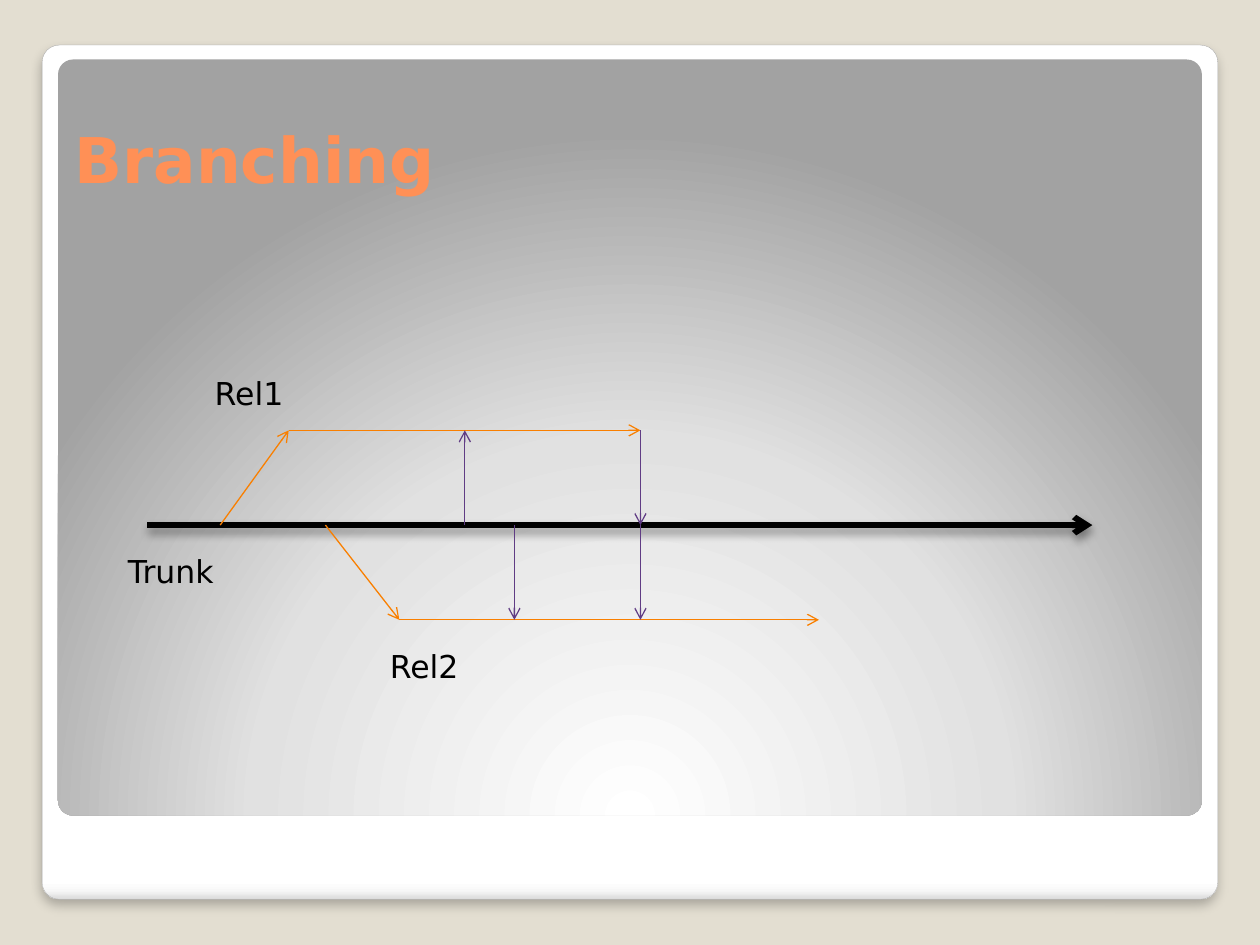
from collections import namedtuple
from lxml.etree import SubElement
from pptx import Presentation
from pptx.dml.color import RGBColor
from pptx.enum.shapes import MSO_CONNECTOR, MSO_SHAPE
from pptx.enum.text import MSO_ANCHOR, MSO_AUTO_SIZE, PP_ALIGN
from pptx.oxml.ns import qn
from pptx.util import Cm, Pt

COLORS = {
    "background": "E3DED1",
    "frame_line": "A4A4A4",
    "title": "FF9056",
    "trunk": "000000",
    "release": "F97F00",
    "merge": "603C84",
    "text": "000000",
}
FONT = "DejaVu Sans"
Box = namedtuple("Box", "left top width height")


def color(name):
    return RGBColor.from_string(COLORS[name])


def add_effects(shape, shadow=None):
    effects = SubElement(shape.element.spPr, qn("a:effectLst"))
    if shadow:
        alpha, blur, distance = shadow
        outer = SubElement(effects, qn("a:outerShdw"), blurRad=str(Pt(blur)),
                           dist=str(Pt(distance)), dir="5400000", rotWithShape="0")
        tone = SubElement(outer, qn("a:srgbClr"), val="000000")
        SubElement(tone, qn("a:alpha"), val=str(alpha * 1000))


def set_gradient(shape, stops, center=None):
    shape.fill.gradient()
    gradient = shape.element.spPr.find(qn("a:gradFill"))
    for child in list(gradient):
        gradient.remove(child)
    stop_list = SubElement(gradient, qn("a:gsLst"))
    for position, value in stops:
        stop = SubElement(stop_list, qn("a:gs"), pos=str(position * 1000))
        SubElement(stop, qn("a:srgbClr"), val=value)
    if center:
        shade = SubElement(gradient, qn("a:path"), path="circle")
        edges = {side: str(value * 1000) for side, value in zip("ltrb", center)}
        SubElement(shade, qn("a:fillToRect"), **edges)
    else:
        SubElement(gradient, qn("a:lin"), ang="5400000", scaled="0")


def add_panel(page, left, top, width, height):
    panel = page.shapes.add_shape(MSO_SHAPE.ROUNDED_RECTANGLE,
                                  Cm(left), Cm(top), Cm(width), Cm(height))
    panel.adjustments[0] = 0.02
    return panel


def build_backdrop(page, box):
    frame = add_panel(page, *box)
    set_gradient(frame, [(0, "FFFFFF"), (98, "FFFFFF"), (99, "F7F7F7"), (100, "DADADA")])
    frame.line.color.rgb = color("frame_line")
    frame.line.width = Pt(0.16)
    add_effects(frame, (25, 6, 4))

    inset = 0.32
    panel = add_panel(page, box.left + inset, box.top + 0.29,
                      box.width - 2 * inset, 15.24)
    set_gradient(panel, [(0, "FFFFFF"), (55, "E1E1E1"), (100, "A2A2A2")],
                 (50, 175, 50, -75))
    panel.line.fill.background()
    add_effects(panel)


def write(frame, text, size, tone, bold=False):
    para = frame.paragraphs[0]
    para.alignment = PP_ALIGN.LEFT
    span = para.add_run()
    span.text = text
    span.font.name = FONT
    span.font.size = Pt(size)
    span.font.bold = bold
    span.font.color.rgb = color(tone)


def build_title(page, box, text):
    title = page.shapes.title
    title.left, title.top, title.width, title.height = (Cm(value) for value in box)
    title.text_frame.vertical_anchor = MSO_ANCHOR.MIDDLE
    write(title.text_frame, text, 36, "title", bold=True)
    title.element.getparent().append(title.element)


def add_arrow(page, start, end, tone, width=0.75, shadow=None):
    arrow = page.shapes.add_connector(MSO_CONNECTOR.STRAIGHT,
                                      *(Cm(value) for value in (*start, *end)))
    arrow.line.color.rgb = color(tone)
    arrow.line.width = Pt(width)
    SubElement(arrow.element.spPr.find(qn("a:ln")), qn("a:tailEnd"), type="arrow")
    add_effects(arrow, shadow)


def add_label(page, left, top, text):
    label = page.shapes.add_textbox(Cm(left), Cm(top), Cm(2.33), Cm(1.06))
    label.text_frame.word_wrap = True
    label.text_frame.auto_size = MSO_AUTO_SIZE.SHAPE_TO_FIT_TEXT
    write(label.text_frame, text, 18, "text")


def build_branches(page, box):
    middle, step = box.height / 2, 1.91
    lanes = {"Rel1": middle - step, "Trunk": middle, "Rel2": middle + step}

    def point(x, lane):
        return box.left + x, box.top + lanes[lane]

    add_arrow(page, point(0.64, "Trunk"), point(box.width, "Trunk"),
              "trunk", 3.35, (40, 5.2, 3))
    for lane, fork, begin, end in [("Rel1", 2.11, 3.49, 10.58), ("Rel2", 4.23, 5.72, 14.18)]:
        add_arrow(page, point(fork, "Trunk"), point(begin, lane), "release")
        add_arrow(page, point(begin, lane), point(end, lane), "release")
    for x, source, target in [(7.04, "Trunk", "Rel1"), (8.04, "Trunk", "Rel2"),
                              (10.58, "Rel1", "Trunk"), (10.58, "Trunk", "Rel2")]:
        add_arrow(page, point(x, source), point(x, target), "merge")
    for text, x, y in [("Trunk", 0, 3.6), ("Rel1", 1.75, 0), ("Rel2", 5.28, 5.5)]:
        add_label(page, box.left + x, box.top + y, text)


def main():
    deck = Presentation()
    deck.slide_width, deck.slide_height = Cm(25.4), Cm(19.05)
    page = deck.slides.add_slide(deck.slide_layouts[5])
    page.background.fill.solid()
    page.background.fill.fore_color.rgb = color("background")
    build_backdrop(page, Box(0.85, 0.91, 23.7, 17.22))
    build_title(page, Box(1.25, 1.9, 20.8, 2.6), "Branching")
    build_branches(page, Box(2.33, 7.41, 19.69, 6.35))
    deck.save("out.pptx")


if __name__ == "__main__":
    main()
